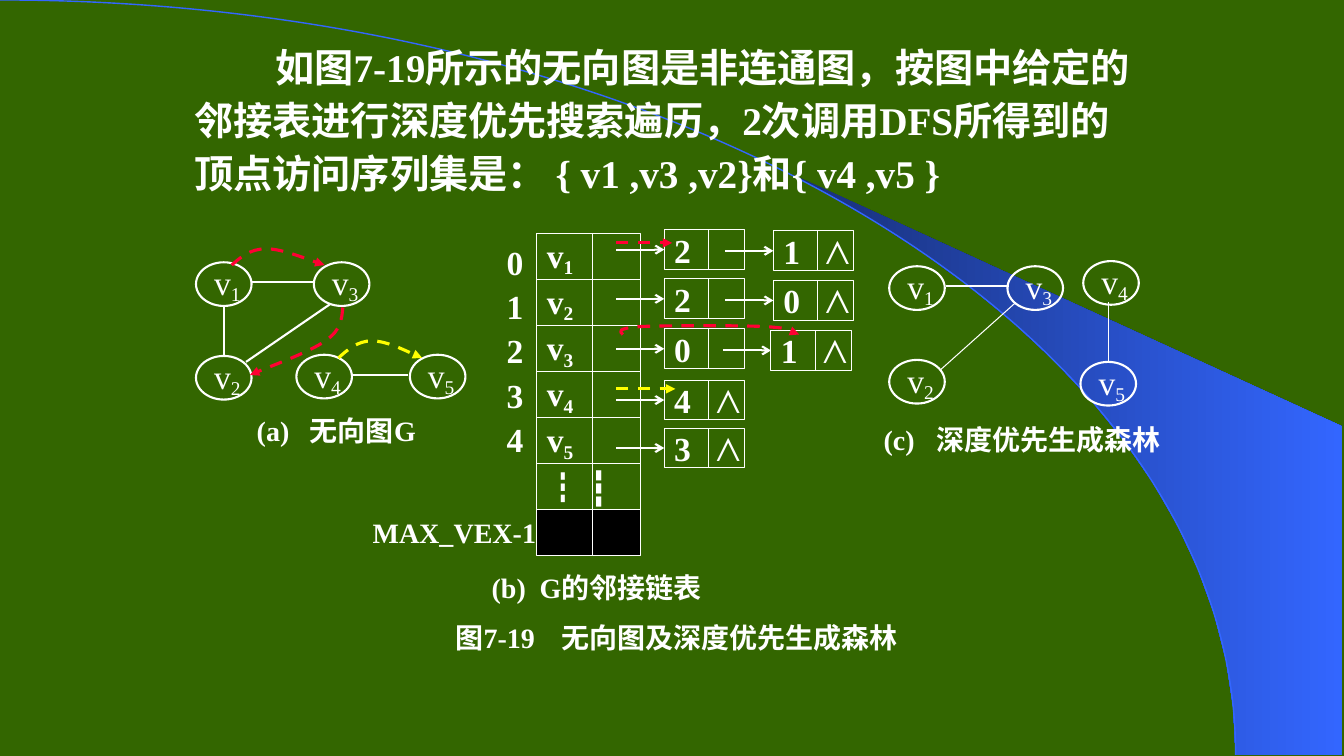
"""Build a slide on depth-first traversal of an unconnected graph."""
from lxml import etree
from pptx import Presentation
from pptx.dml import color
from pptx.enum import dml, shapes, text
from pptx.oxml import ns
from pptx.util import Cm, Pt

COLORS = {"board": "336600", "ink": "FFFFFF", "red": "FF0033", "yellow": "FFFF00",
          "blue": "3366FF", "navy": "182F76", "black": "000000"}
LATIN, CJK = "Times New Roman", "Noto Sans CJK SC"
NODE_W, NODE_H = 1.4, 1.1
ROW_X, ROW_Y, ROW_W, ROW_H = 13.53, 5.89, 2.61, 1.16
LINK_W, LINK_H, LINK_SPLIT, ARROW = 2.02, 1, 1.12, 1.21


def rgb(name):
    return color.RGBColor.from_string(COLORS[name])


def add_run(p, value, size, bold=True, base=0, font=LATIN):
    r = p.add_run()
    r.text = value
    r.font.size, r.font.bold, r.font.name = Pt(size), bold, font
    r.font.color.rgb = rgb("ink")
    rPr = r._r.get_or_add_rPr()
    etree.SubElement(rPr, ns.qn("a:ea")).set("typeface", CJK)
    if base:
        rPr.set("baseline", str(base * 1000))


def add_tab(p, pos):
    tabs = etree.SubElement(p._p.get_or_add_pPr(), ns.qn("a:tabLst"))
    etree.SubElement(tabs, ns.qn("a:tab"), pos=str(Cm(pos)), algn="l")


def style_line(sp, name, width, head=None, dashed=False):
    sp.line.color.rgb = rgb(name)
    sp.line.width = Pt(width)
    if dashed:
        sp.line.dash_style = dml.MSO_LINE.DASH
    if head:
        etree.SubElement(sp.line._get_or_add_ln(), ns.qn("a:tailEnd"), type=head)


def add_line(s, start, end, name="ink", width=1.5, head=None, dashed=False):
    c = s.shapes.add_connector(shapes.MSO_CONNECTOR.STRAIGHT, *map(Cm, start + end))
    style_line(c, name, width, head, dashed)
    etree.SubElement(c._element.spPr, ns.qn("a:effectLst"))
    return c


def add_outline(s, kind, x, y, w, h, width):
    sp = s.shapes.add_shape(kind, Cm(x), Cm(y), Cm(w), Cm(h))
    sp.shadow.inherit = False
    sp.fill.background()
    style_line(sp, "ink", width)
    tf = sp.text_frame
    tf.word_wrap = False
    tf.vertical_anchor = text.MSO_ANCHOR.MIDDLE
    tf.paragraphs[0].alignment = text.PP_ALIGN.LEFT
    return sp, tf.paragraphs[0]


def add_vertex(s, number, x, y):
    sp, p = add_outline(s, shapes.MSO_SHAPE.OVAL, x, y, NODE_W, NODE_H, 1.5)
    add_run(p, "v", 24, False)
    add_run(p, str(number), 24, False, -18)


def add_cell(s, x, y, w, h, split):
    sp, p = add_outline(s, shapes.MSO_SHAPE.RECTANGLE, x, y, w, h, 0.75)
    add_line(s, (x + split, y), (x + split, y + h), width=0.75)
    return sp, p


def add_link(s, value, x, y, last):
    sp, p = add_cell(s, x, y, LINK_W, LINK_H, LINK_SPLIT)
    if last:
        add_tab(p, 1.06)
    add_run(p, value + "\t" if last else value, 24)
    if last:
        add_run(p, "⋀", 24, False)
    mid = y + LINK_H / 2
    arrow = add_line(s, (x - ARROW, mid), (x, mid), head="arrow")
    arrow.end_connect(sp, 1)


def add_text(s, x, y, w, h, wrap=False, anchor=text.MSO_ANCHOR.MIDDLE):
    tf = s.shapes.add_textbox(Cm(x), Cm(y), Cm(w), Cm(h)).text_frame
    tf.word_wrap = wrap
    tf.vertical_anchor = anchor
    return tf


def add_label(s, x, y, w, h):
    tf = add_text(s, x, y, w, h)
    tf.margin_right = 0
    return tf.paragraphs[0]


def add_caption(s, label, title, x, y, w, tab):
    p = add_label(s, x, y, w, 0.89)
    add_tab(p, tab)
    add_run(p, f"{label}\t{title}", 20)


def add_path(s, points, close=False):
    emu = [(Cm(x), Cm(y)) for x, y in points]
    builder = s.shapes.build_freeform(*emu[0])
    builder.add_line_segments(emu[1:], close=close)
    sp = builder.convert_to_shape()
    sp.shadow.inherit = False
    sp.fill.background()
    return sp


def add_curve(s, name, points, width=2.25, head="triangle", dashed=True):
    """Draw a chain of cubic curves that share their end points."""
    sp = add_path(s, points)
    lines = list(sp._element.iter(ns.qn("a:lnTo")))
    for i in range(0, len(lines), 3):
        cubic = etree.Element(ns.qn("a:cubicBezTo"))
        lines[i].addprevious(cubic)
        for line in lines[i:i + 3]:
            cubic.append(line[0])
            line.getparent().remove(line)
    style_line(sp, name, width, head, dashed)


def sample(points, steps):
    """Return points along one cubic curve."""
    result = []
    for n in range(steps + 1):
        t = n / steps
        weights = ((1 - t) ** 3, 3 * t * (1 - t) ** 2, 3 * t * t * (1 - t), t ** 3)
        result.append(tuple(sum(k * pt[axis] for k, pt in zip(weights, points))
                            for axis in (0, 1)))
    return result


def add_backdrop(s):
    s.background.fill.solid()
    s.background.fill.fore_color.rgb = rgb("board")
    arc = [(0, 0), (17.2, 0), (31.14, 8.51), (31.14, 19.02)]
    edge = [pt for pt in sample(arc, 26) if pt[0] > 20.5]
    swoosh = add_path(s, [(33.81, 19.02), (33.81, 10.74), (19.96, 4.39)] + edge, True)
    swoosh.line.fill.background()
    swoosh.fill.gradient()
    swoosh.fill.gradient_angle = 0
    for stop, name in zip(swoosh.fill.gradient_stops, ("navy", "blue")):
        stop.color.rgb = rgb(name)
    add_curve(s, "blue", arc, 1, None, False)


def add_statement(s):
    p = add_text(s, 4.65, 0.82, 24.49, 4.28, True, text.MSO_ANCHOR.TOP).paragraphs[0]
    p._p.get_or_add_pPr().set("indent", str(Cm(2.04)))
    p.line_spacing = Pt(37.8)
    add_run(p, "如图7-19所示的无向图是非连通图，按图中给定的邻接表进行深度优先搜索遍历，"
               "2次调用DFS所得到的顶点访问序列集是： { v1 ,v3 ,v2}和{ v4 ,v5 }", 28)


def add_graph(s):
    for number, (x, y) in enumerate([(4.94, 6.61), (4.94, 8.97), (7.91, 6.61),
                                     (7.47, 8.94), (10.33, 8.94)], 1):
        add_vertex(s, number, x, y)
    for start, end in [((5.64, 7.7), (5.64, 8.97)), ((6.2, 9.12), (8.31, 7.67)),
                       ((6.35, 7.11), (7.95, 7.11)), ((8.88, 9.44), (10.29, 9.44))]:
        add_line(s, start, end)
    add_curve(s, "red", [(5.84, 6.68), (6.07, 6.48), (6.3, 6.27), (6.71, 6.27),
                         (7.09, 6.27), (7.92, 6.6), (8.18, 6.68)])
    add_curve(s, "red", [(8.64, 7.75), (8.61, 8.03), (8.61, 8.31), (8.2, 8.59),
                         (7.82, 8.86), (6.63, 9.3), (6.3, 9.45)])
    add_curve(s, "yellow", [(8.53, 9.02), (8.76, 8.81), (9.02, 8.59), (9.37, 8.59),
                            (9.73, 8.59), (10.44, 8.94), (10.64, 9.02)])


def add_adjacency_list(s):
    tf = add_text(s, 12.52, 5.84, 0.99, 5.87)
    for i in range(5):
        p = tf.paragraphs[0] if i == 0 else tf.add_paragraph()
        p.line_spacing = 1.1
        add_run(p, str(i), 24)
    add_run(add_label(s, 9.14, 12.93, 4.6, 0.99), "MAX_VEX-1", 20)
    for row in range(7):
        sp, p = add_cell(s, ROW_X, ROW_Y + row * ROW_H, ROW_W, ROW_H, 1.4)
        if row < 5:
            add_run(p, "v", 24)
            add_run(p, str(row + 1), 24, base=-20)
        elif row == 5:
            add_run(p, "┇", 24, font=CJK)
            add_run(p, " ┇", 24)
        else:
            sp.fill.solid()
            sp.fill.fore_color.rgb = rgb("black")
    for value, x, y, last in [("2", 16.74, 5.79, False), ("1", 19.49, 5.82, True),
                              ("2", 16.74, 7.03, False), ("0", 19.49, 7.07, True),
                              ("0", 16.74, 8.29, False), ("1", 19.43, 8.33, True),
                              ("4", 16.74, 9.58, True), ("3", 16.74, 10.79, True)]:
        add_link(s, value, x, y, last)
    add_curve(s, "red", [(15.7, 8.43), (15.62, 8.36), (15.52, 8.28), (16.13, 8.23),
                         (16.74, 8.2), (18.64, 8.2), (19.3, 8.23),
                         (19.96, 8.28), (20.02, 8.41), (20.14, 8.43)])
    add_line(s, (15.52, 9.8), (17.02, 9.8), "yellow", 2.25, "triangle", True)
    add_line(s, (15.52, 6.12), (16.94, 6.12), "red", 2.25, "triangle", True)


def add_forest(s):
    for number, (x, y) in enumerate([(22.41, 6.71), (22.41, 9.07), (25.39, 6.71),
                                     (27.3, 6.58), (27.23, 9.12)], 1):
        add_vertex(s, number, x, y)
    add_line(s, (23.83, 7.21), (25.43, 7.21))
    add_line(s, (25.6, 7.62), (23.7, 9.32), width=0.75)
    add_line(s, (27.94, 7.62), (27.94, 9.12), width=0.75)


def main():
    prs = Presentation()
    prs.slide_width, prs.slide_height = Cm(33.87), Cm(19.05)
    s = prs.slides.add_slide(prs.slide_layouts[6])
    add_backdrop(s)
    add_graph(s)
    add_adjacency_list(s)
    add_forest(s)
    add_caption(s, "(a)", "无向图G", 6.22, 10.41, 4.8, 1.34)
    add_caption(s, "(b)", "G的邻接链表", 12.14, 14.35, 6.1, 1.21)
    add_caption(s, "(c)", "深度优先生成森林", 22.02, 10.62, 7.5, 1.33)
    add_caption(s, "图7-19", "无向图及深度优先生成森林", 11.23, 15.62, 11.8, 2.67)
    add_statement(s)
    prs.save("out.pptx")


if __name__ == "__main__":
    main()
